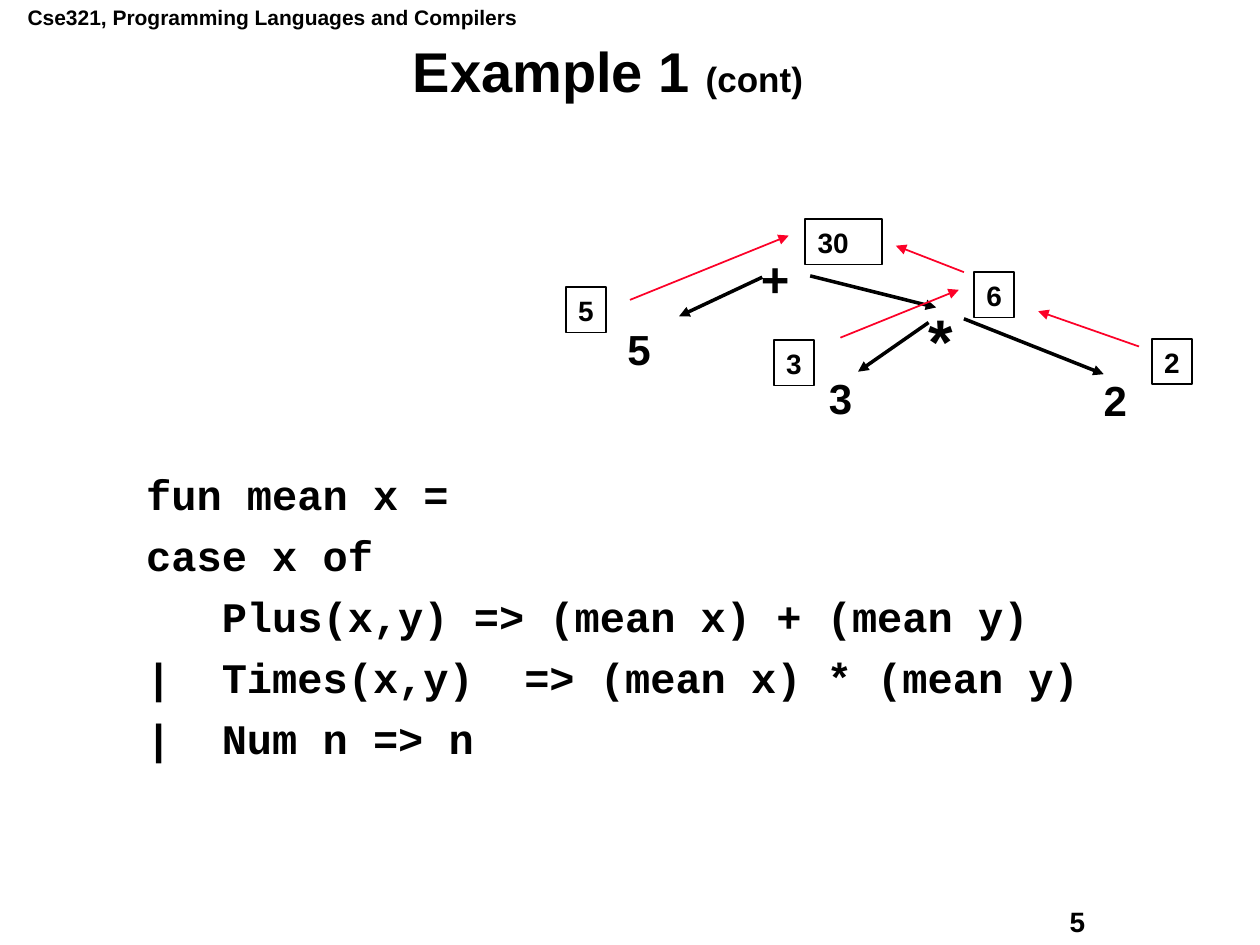
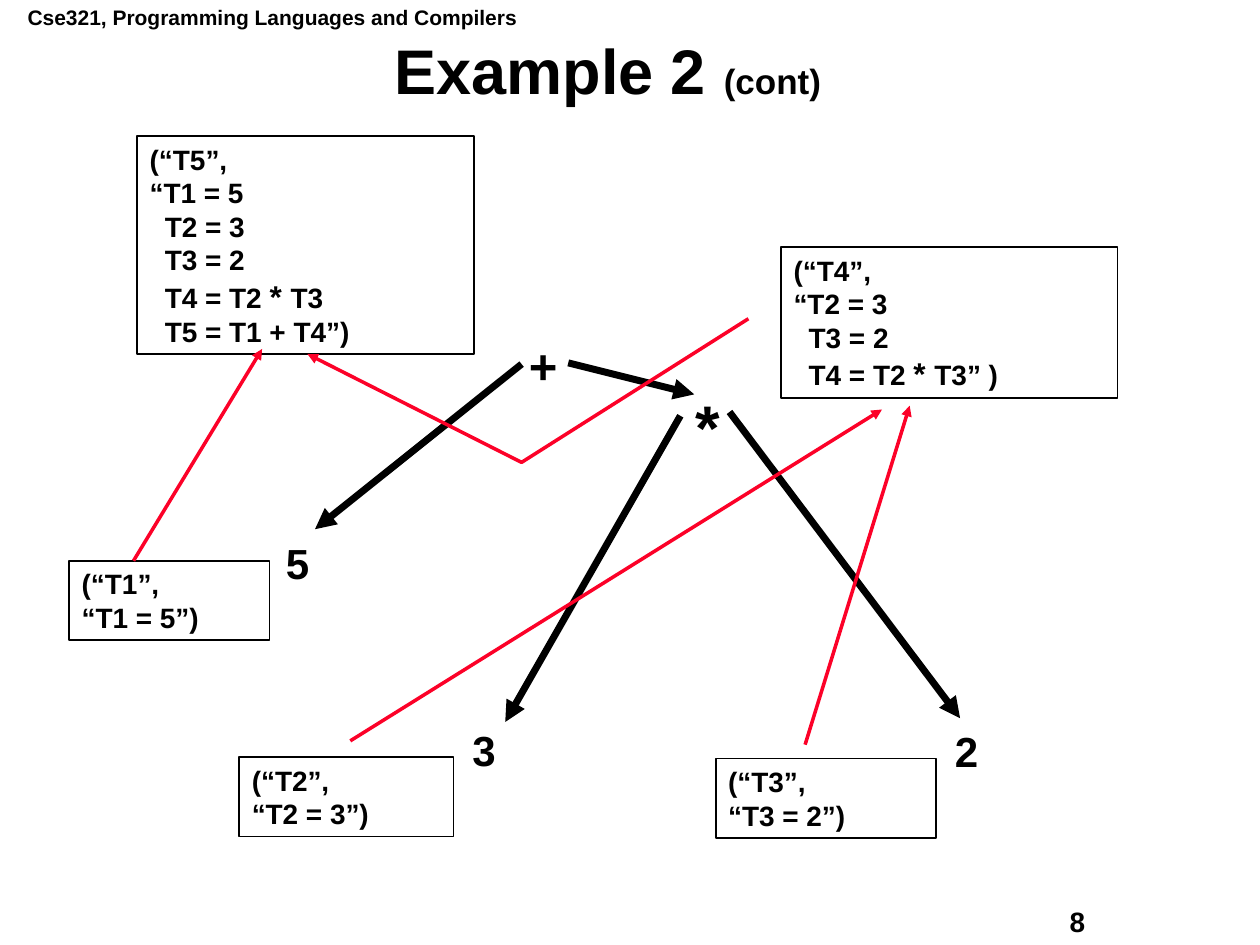
from lxml import etree
from pptx import Presentation
from pptx.dml.color import RGBColor
from pptx.enum.shapes import MSO_CONNECTOR, MSO_SHAPE
from pptx.enum.text import MSO_ANCHOR, MSO_AUTO_SIZE, PP_ALIGN
from pptx.oxml.ns import qn
from pptx.util import Inches, Pt

STRAIGHT = MSO_CONNECTOR.STRAIGHT
RECT = MSO_SHAPE.RECTANGLE
TOP, MIDDLE = MSO_ANCHOR.TOP, MSO_ANCHOR.MIDDLE
NONE = MSO_AUTO_SIZE.NONE
LEFT, CENTER = PP_ALIGN.LEFT, PP_ALIGN.CENTER

COLORS = {"ink": "000000", "flow": "FC0128", "page": "FFFFFF"}
SANS, MONO = "Arial", "Courier New"
HEADER = "Cse321, Programming Languages and Compilers"
SIGNS = {"+": (28, 0.43, 0.56), "*": (36, 0.39, 0.7)}
DIGIT = (24, 0.38, 0.5)

CODE = [
    "fun mean x =",
    "case x of",
    "   Plus(x,y) => (mean x) + (mean y)",
    "|  Times(x,y)  => (mean x) * (mean y)",
    "|  Num n => n",
]

VALUES = {
    "marks": [("+", 1.45, 0.18), ("5", 0.39, 0.78), ("*", 2.78, 0.6),
              ("3", 1.99, 1.17), ("2", 4.17, 1.18)],
    "arms": [((1.56, 0.46), (0.9, 0.77)), ((1.94, 0.45), (2.94, 0.7)),
             ((2.88, 0.82), (2.32, 1.21)), ((3.16, 0.79), (4.27, 1.23))],
    "notes": [(["2"], 4.65, 0.95, 0.32, 0.36), (["6"], 3.24, 0.42, 0.32, 0.36),
              (["3"], 1.65, 0.96, 0.32, 0.36), (["30"], 1.9, 0, 0.61, 0.36),
              (["5"], 0, 0.54, 0.32, 0.36)],
    "flows": [((3.16, 0.42), (2.62, 0.21)), ((4.55, 1.01), (3.75, 0.73)),
              ((2.18, 0.94), (3.12, 0.56)), ((0.51, 0.64), (1.77, 0.13))],
}

TERMS = {
    "marks": [("+", 3.55, 1.53), ("5", 1.62, 3.14), ("*", 4.87, 1.95),
              ("3", 3.1, 4.62), ("2", 6.93, 4.63)],
    "arms": [((3.59, 1.81), (1.95, 3.12)), ((3.96, 1.8), (4.96, 2.05)),
             ((4.85, 2.22), (3.46, 4.65)), ((5.24, 2.19), (7.07, 4.62))],
    "notes": [
        (["(“T1”,", "“T1 = 5”)"], 0, 3.37, 1.59, 0.63),
        (["(“T2”,", "“T2 = 3”)"], 1.35, 4.93, 1.7, 0.63),
        (["(“T3”,", "“T3 = 2”)"], 5.13, 4.94, 1.75, 0.63),
        (["(“T4”,", "“T2 = 3", "T3 = 2", "T4 = T2 * T3” )"],
         5.65, 0.88, 2.67, 1.2),
        (["(“T5”,", "“T1 = 5", "T2 = 3", "T3 = 2", "T4 = T2 * T3",
          "T5 = T1 + T4”)"], 0.54, 0, 2.67, 1.73),
    ],
    "flows": [((5.84, 4.83), (6.67, 2.14)), ((2.23, 4.8), (6.45, 2.17)),
              ((0.51, 3.37), (1.53, 1.69))],
}
BEND = [(5.39, 1.45), (3.59, 2.59), (1.89, 1.73)]


def color(name):
    return RGBColor.from_string(COLORS[name])


def style(para, size, face=SANS):
    font = para.font
    font.name, font.bold = face, True
    font.color.rgb = color("ink")
    if size:
        font.size = Pt(size)


def place(shape, left, top, width, height):
    shape.left, shape.top = Inches(left), Inches(top)
    shape.width, shape.height = Inches(width), Inches(height)


def label(shapes, text, size, *box):
    frame = shapes.add_textbox(*map(Inches, box)).text_frame
    frame.word_wrap = False
    frame.auto_size = NONE
    para = frame.paragraphs[0]
    para.text = text
    style(para, size)


def stroke(line, name, width):
    line.color.rgb = color(name)
    line.width = Pt(width)


def point(line, name, width):
    stroke(line.line, name, width)
    props = line._element.spPr
    etree.SubElement(props.find(qn("a:ln")), qn("a:tailEnd"), type="triangle")
    if props.find(qn("a:effectLst")) is None:
        etree.SubElement(props, qn("a:effectLst"))


def spot(base, pos):
    return Inches(base[0] + pos[0]), Inches(base[1] + pos[1])


def arrow(shapes, base, start, end, name, width):
    line = shapes.add_connector(STRAIGHT, *spot(base, start), *spot(base, end))
    point(line, name, width)


def note(shapes, lines, *box):
    shape = shapes.add_shape(RECT, *map(Inches, box))
    shape.shadow.inherit = False
    shape.fill.background()
    stroke(shape.line, "ink", 1)
    frame = shape.text_frame
    frame.word_wrap = len(lines) > 1
    frame.vertical_anchor = TOP
    for row, text in enumerate(lines):
        para = frame.paragraphs[0] if row == 0 else frame.add_paragraph()
        para.alignment = LEFT
        if row > 1:
            para._p.get_or_add_pPr().set("marL", str(Inches(0.12)))
        for part in text.partition("* "):
            if part:
                run = para.add_run()
                run.text = part
                run.font.size = Pt(18 if part == "* " else 16)
        style(para, None)


def tree(shapes, base, data, bold, thin):
    left, top = base
    for text, x, y in data["marks"]:
        size, width, height = SIGNS.get(text, DIGIT)
        label(shapes, text, size, left + x, top + y, width, height)
    for start, end in data["arms"]:
        arrow(shapes, base, start, end, "ink", bold)
    for lines, x, y, width, height in data["notes"]:
        note(shapes, lines, left + x, top + y, width, height)
    for start, end in data["flows"]:
        arrow(shapes, base, start, end, "flow", thin)


def bent(shapes, base, spots, width):
    first, *rest = [spot(base, pos) for pos in spots]
    build = shapes.build_freeform(*first)
    build.add_line_segments(rest, close=False)
    shape = build.convert_to_shape()
    shape.shadow.inherit = False
    shape.fill.background()
    point(shape, "flow", width)


def code(body, *box):
    place(body, *box)
    frame = body.text_frame
    frame.auto_size = NONE
    frame.margin_top = Inches(0.15)
    for row, text in enumerate(CODE):
        para = frame.paragraphs[0] if row == 0 else frame.add_paragraph()
        para.text = text
        para.level = 1
        para.line_spacing = 0.9
        para.space_before = Pt(9 if row else 0)
        props = para._p.get_or_add_pPr()
        props.set("marL", str(Inches(0.75)))
        props.set("indent", str(Inches(-0.25)))
        etree.SubElement(props, qn("a:buNone"))
        style(para, 24, MONO)


def start(deck, layout, name, size, page):
    slide = deck.slides.add_slide(deck.slide_layouts[layout])
    fill = slide.background.fill
    fill.solid()
    fill.fore_color.rgb = color("page")
    label(slide.shapes, HEADER, 12, 0.12, -0.01, 4.09, 0.3)
    label(slide.shapes, page, 16, 8.39, 7.13, 1.27, 0.36)
    title = slide.shapes.title
    place(title, 0.31, 0.31, 9.03, 0.56)
    frame = title.text_frame
    frame.auto_size = NONE
    frame.vertical_anchor = MIDDLE
    para = frame.paragraphs[0]
    para.alignment = CENTER
    para.line_spacing = 0.9
    for text, points in ((name + " ", size), ("(cont)", 20)):
        run = para.add_run()
        run.text = text
        run.font.size = Pt(points)
    style(para, None)
    return slide


def main():
    deck = Presentation()
    deck.slide_width, deck.slide_height = Inches(10), Inches(7.5)

    first = start(deck, 1, "Example 1", 32, "5")
    code(first.placeholders[1], 0.56, 3.61, 8.92, 2.66)
    group = first.shapes.add_group_shape()
    tree(group.shapes, (4.49, 1.74), VALUES, 2, 1)

    second = start(deck, 5, "Example 2", 36, "8")
    base = (0.55, 1.08)
    tree(second.shapes, base, TERMS, 4, 2)
    bent(second.shapes, base, BEND, 2)

    deck.save("out.pptx")


if __name__ == "__main__":
    main()
